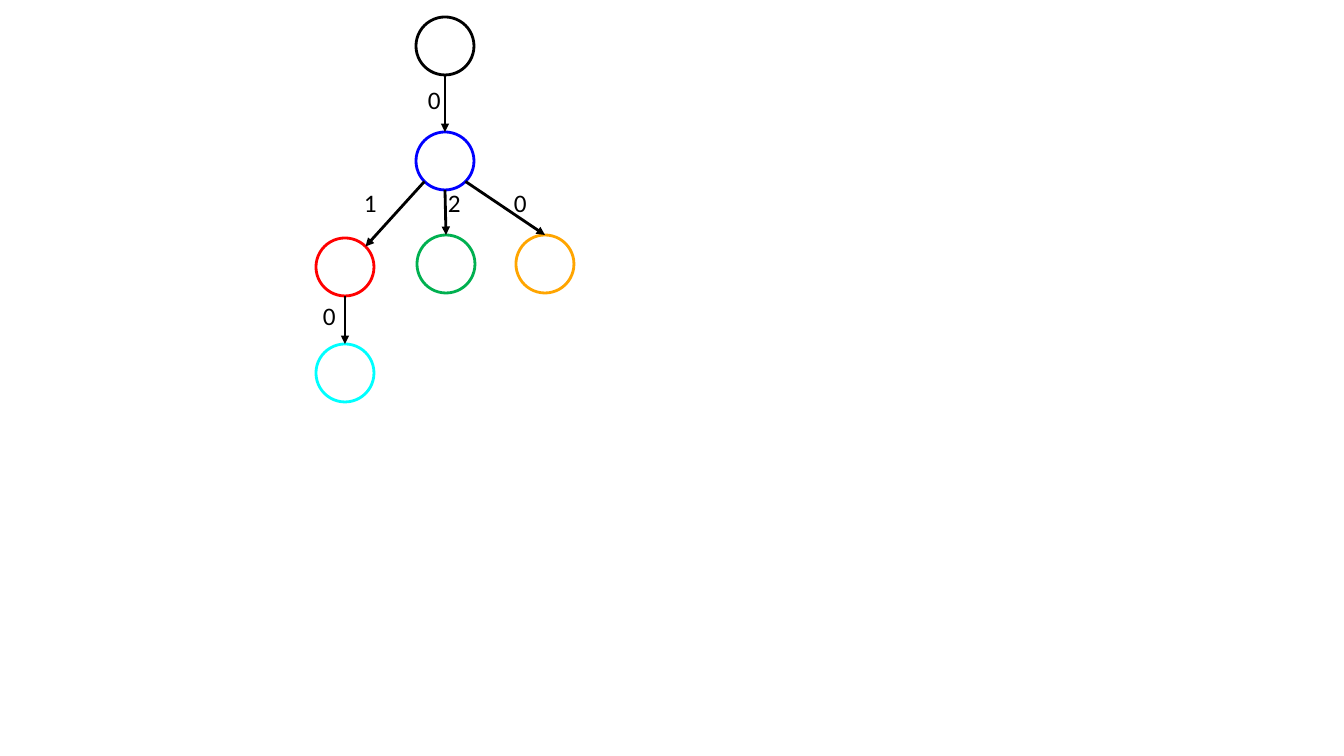
from math import sqrt

from lxml.etree import SubElement
from pptx import Presentation
from pptx.dml.color import RGBColor
from pptx.enum.shapes import MSO_CONNECTOR, MSO_SHAPE
from pptx.enum.text import MSO_AUTO_SIZE
from pptx.oxml.ns import qn
from pptx.util import Pt

# Node: colour and centre in px
NODES = {
    "root": ("black", 445, 46),
    "hub": ("blue", 445, 161),
    "left": ("red", 345, 267),
    "middle": ("green", 446, 264),
    "right": ("orange", 545, 264),
    "leaf": ("cyan", 345, 373),
}
# Edge: parent, its side, child, its side, label, label's left and top in px
EDGES = [
    ("root", "bottom", "hub", "top", "0", 418, 79),
    ("hub", "bottom left", "left", "top right", "1", 354, 182),
    ("hub", "bottom", "middle", "top", "2", 438, 182),
    ("hub", "bottom right", "right", "top", "0", 504, 182),
    ("left", "bottom", "leaf", "top", "0", 313, 295),
]

THEME = {
    "black": RGBColor(0x00, 0x00, 0x00),
    "blue": RGBColor(0x00, 0x00, 0xFF),
    "red": RGBColor(0xFF, 0x00, 0x00),
    "green": RGBColor(0x00, 0xB0, 0x50),
    "orange": RGBColor(0xFF, 0xA5, 0x00),
    "cyan": RGBColor(0x00, 0xFF, 0xFF),
    "stroke": Pt(2),
    "label": {"name": "Calibri", "size": Pt(18)},
}

SLIDE_SIZE = (1344, 756)
DIAMETER = 58
LABEL_SIZE = (33, 40)
DIAGONAL = 1 / sqrt(2)
SIDES = {
    "top": (0, -1),
    "bottom": (0, 1),
    "bottom left": (-DIAGONAL, DIAGONAL),
    "bottom right": (DIAGONAL, DIAGONAL),
    "top right": (DIAGONAL, -DIAGONAL),
}
FRAME_FORMAT = {"word_wrap": False, "auto_size": MSO_AUTO_SIZE.SHAPE_TO_FIT_TEXT}


def px(*lengths):
    """Turn px lengths into EMU, at 100.8 px to the inch."""
    return [round(length * 914400 / 100.8) for length in lengths]


def rim_point(node, side):
    _, x, y = NODES[node]
    dx, dy = SIDES[side]
    return px(x + dx * DIAMETER / 2, y + dy * DIAMETER / 2)


def set_line(line, colour):
    line.color.rgb = THEME[colour]
    line.width = THEME["stroke"]


def add_node(slide, colour, x, y):
    radius = DIAMETER / 2
    circle = slide.shapes.add_shape(
        MSO_SHAPE.OVAL, *px(x - radius, y - radius, DIAMETER, DIAMETER))
    circle.shadow.inherit = False
    circle.fill.background()
    set_line(circle.line, colour)
    return circle


def add_arrow(slide, circles, parent, parent_side, child, child_side):
    arrow = slide.shapes.add_connector(
        MSO_CONNECTOR.STRAIGHT,
        *rim_point(parent, parent_side), *rim_point(child, child_side))
    set_line(arrow.line, "black")
    SubElement(arrow.line._get_or_add_ln(), qn("a:tailEnd"), type="triangle")
    SubElement(arrow._element.spPr, qn("a:effectLst"))
    if child_side == "top":
        arrow.end_connect(circles[child], 0)


def add_label(slide, label, left, top):
    frame = slide.shapes.add_textbox(*px(left, top, *LABEL_SIZE)).text_frame
    for name, value in FRAME_FORMAT.items():
        setattr(frame, name, value)
    paragraph = frame.paragraphs[0]
    digit = paragraph.add_run()
    digit.text = label
    for name, value in THEME["label"].items():
        setattr(digit.font, name, value)
    digit.font.color.rgb = THEME["black"]


def main():
    deck = Presentation()
    deck.slide_width, deck.slide_height = px(*SLIDE_SIZE)
    slide = deck.slides.add_slide(deck.slide_layouts[6])
    circles = {node: add_node(slide, *place) for node, place in NODES.items()}
    for parent, parent_side, child, child_side, label, left, top in EDGES:
        add_arrow(slide, circles, parent, parent_side, child, child_side)
        add_label(slide, label, left, top)
    deck.save("out.pptx")


if __name__ == "__main__":
    main()
